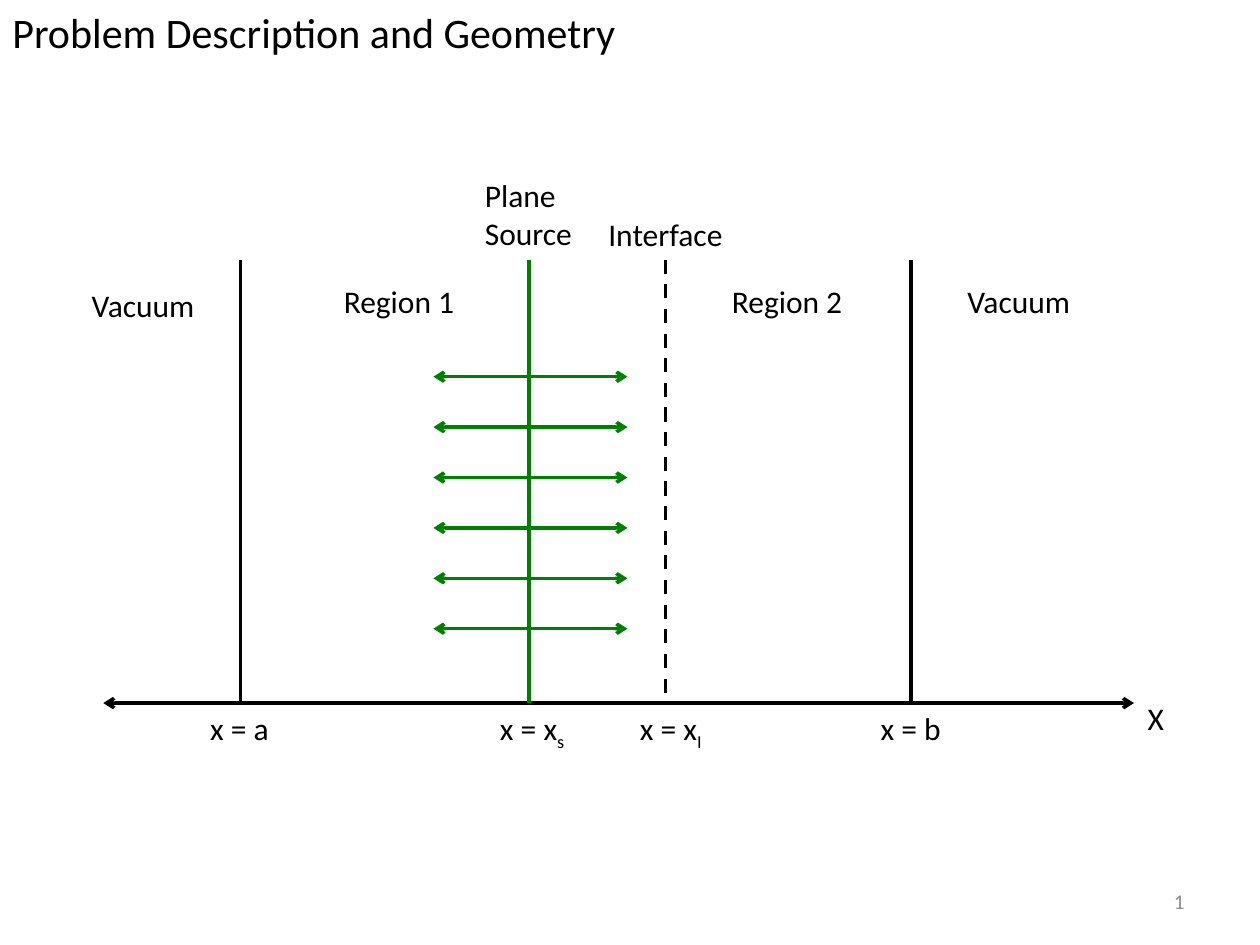
from dataclasses import dataclass

from lxml import etree
from pptx import Presentation
from pptx.dml.color import RGBColor
from pptx.enum.dml import MSO_LINE
from pptx.enum.shapes import MSO_CONNECTOR
from pptx.enum.text import MSO_ANCHOR, MSO_AUTO_SIZE, PP_ALIGN
from pptx.oxml.ns import qn
from pptx.util import Inches, Pt

STRAIGHT = MSO_CONNECTOR.STRAIGHT
DASH = MSO_LINE.DASH
LEFT, RIGHT = PP_ALIGN.LEFT, PP_ALIGN.RIGHT
TOP, MIDDLE = MSO_ANCHOR.TOP, MSO_ANCHOR.MIDDLE
FIT, FIXED = MSO_AUTO_SIZE.SHAPE_TO_FIT_TEXT, MSO_AUTO_SIZE.NONE


@dataclass(frozen=True)
class Theme:
    font: str = "Calibri"
    ink: RGBColor = RGBColor(0, 0, 0)
    source: RGBColor = RGBColor(0, 0x80, 0)
    muted: RGBColor = RGBColor(0x8C, 0x8C, 0x8C)
    title: int = 24
    label: int = 18
    number: int = 12
    line: int = 2


THEME = Theme()

TITLE = "Problem Description and Geometry"
SLIDE_NUMBER = "1"

AXIS_Y, AXIS_LEFT, AXIS_RIGHT = 5.58, 0.82, 9
PLANE_TOP = 2.06
SOURCE_X = 4.2
PLANES = [
    (1.91, THEME.ink, None),
    (7.23, THEME.ink, None),
    (5.28, THEME.ink, DASH),
    (SOURCE_X, THEME.source, None),
]

RAY_COUNT, RAY_TOP, RAY_STEP, RAY_LENGTH = 6, 2.99, 0.4, 0.78
RAYS = [(SOURCE_X, 1), (SOURCE_X + 0.02, -1)]

LABEL_HEIGHT = 0.4
LABELS = [
    ("Region 1", 2.63, 2.19, 1.09),
    ("Region 2", 5.71, 2.19, 1.09),
    ("Vacuum", 0.63, 2.22, 1.03),
    ("Vacuum", 7.58, 2.19, 1.03),
    ("Interface", 4.73, 1.66, 1.12),
    ("X", 9.01, 5.5, 0.33),
]
POSITIONS = [
    ("x = a", "", 1.57, 0.67),
    ("x = b", "", 6.89, 0.68),
    ("x = x", "s", 3.87, 0.73),
    ("x = x", "I", 4.98, 0.7),
]


def add_line(slide, start, end, color, dash=None, arrows=()):
    s = slide.shapes.add_connector(STRAIGHT, *map(Inches, (*start, *end)))
    s.line.color.rgb = color
    s.line.width = Pt(THEME.line)
    if dash is not None:
        s.line.dash_style = dash
    props = s._element.spPr
    for arrow in arrows:
        etree.SubElement(props.find(qn("a:ln")), qn(f"a:{arrow}"), type="arrow")
    etree.SubElement(props, qn("a:effectLst"))


def add_text(slide, lines, box, size=THEME.label, color=THEME.ink,
             wrap=False, align=LEFT, anchor=TOP):
    tf = slide.shapes.add_textbox(*map(Inches, box)).text_frame
    tf.word_wrap = wrap
    tf.auto_size = FIXED if wrap else FIT
    tf.vertical_anchor = anchor
    tf.text = "\n".join(lines)
    for p in tf.paragraphs:
        p.alignment = align
        p.font.name = THEME.font
        p.font.size = Pt(size)
        p.font.color.rgb = color
    return tf


def add_subscript(p, text):
    r = p.add_run()
    r.text = text
    r._r.get_or_add_rPr().set("baseline", "-25000")


def main():
    prs = Presentation()
    prs.slide_width, prs.slide_height = Inches(10), Inches(7.5)
    slide = prs.slides.add_slide(prs.slide_layouts[6])

    add_line(slide, (AXIS_LEFT, AXIS_Y), (AXIS_RIGHT, AXIS_Y), THEME.ink,
             arrows=("headEnd", "tailEnd"))
    for x, color, dash in PLANES:
        add_line(slide, (x, PLANE_TOP), (x, AXIS_Y), color, dash)

    for x, direction in RAYS:
        for i in range(RAY_COUNT):
            y = RAY_TOP + i * RAY_STEP
            add_line(slide, (x, y), (x + direction * RAY_LENGTH, y),
                     THEME.source, arrows=("tailEnd",))

    for text, left, top, width in LABELS:
        add_text(slide, [text], (left, top, width, LABEL_HEIGHT))
    add_text(slide, ["Plane", "Source"], (3.75, 1.35, 0.9, 0.71))
    for text, subscript, left, width in POSITIONS:
        tf = add_text(slide, [text], (left, AXIS_Y, width, LABEL_HEIGHT))
        if subscript:
            add_subscript(tf.paragraphs[0], subscript)

    add_text(slide, [SLIDE_NUMBER], (7.17, 6.95, 2.33, 0.4), THEME.number,
             THEME.muted, wrap=True, align=RIGHT, anchor=MIDDLE)
    add_text(slide, [TITLE], (0, 0, 5.04, 0.5), THEME.title)

    prs.save("out.pptx")


if __name__ == "__main__":
    main()
